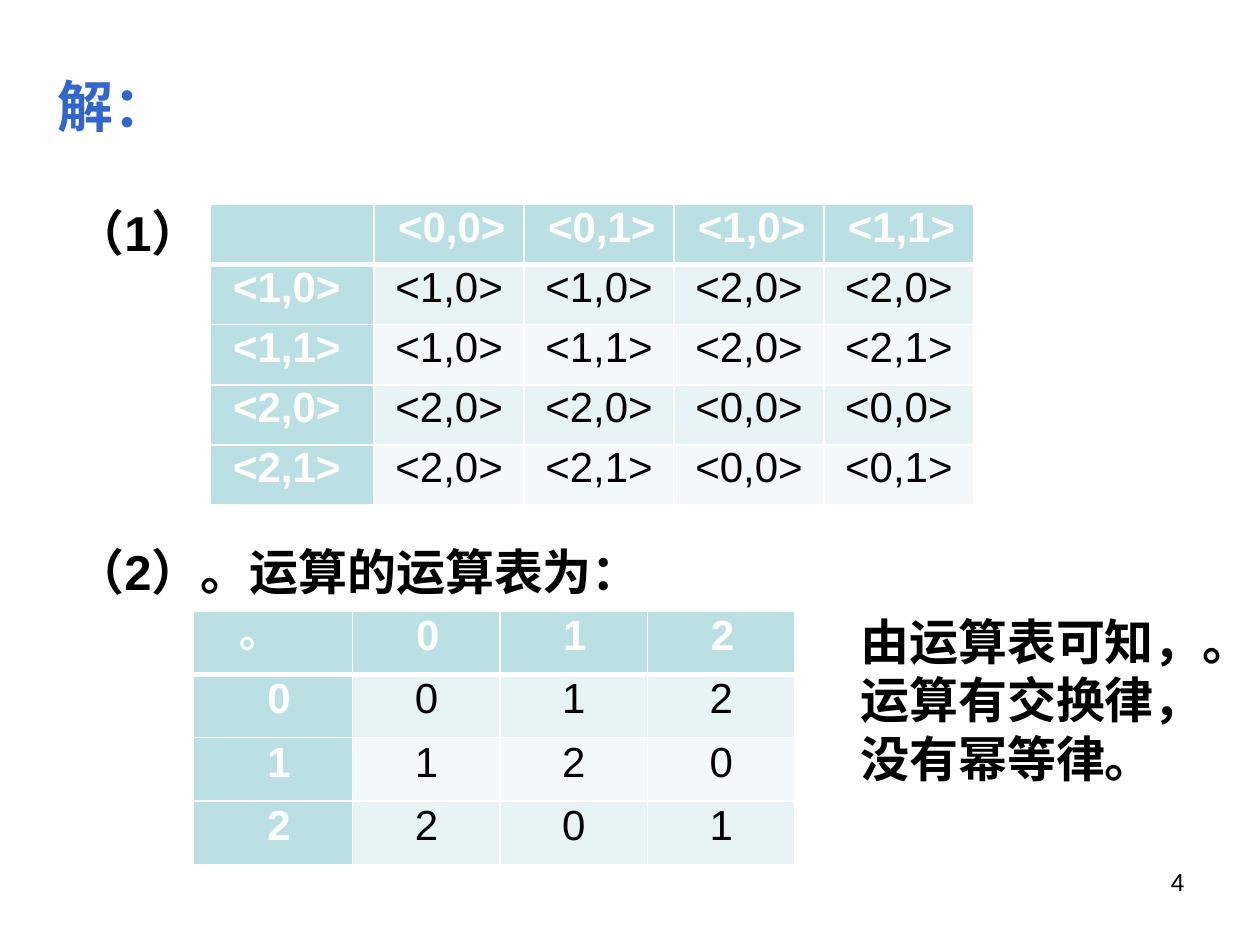
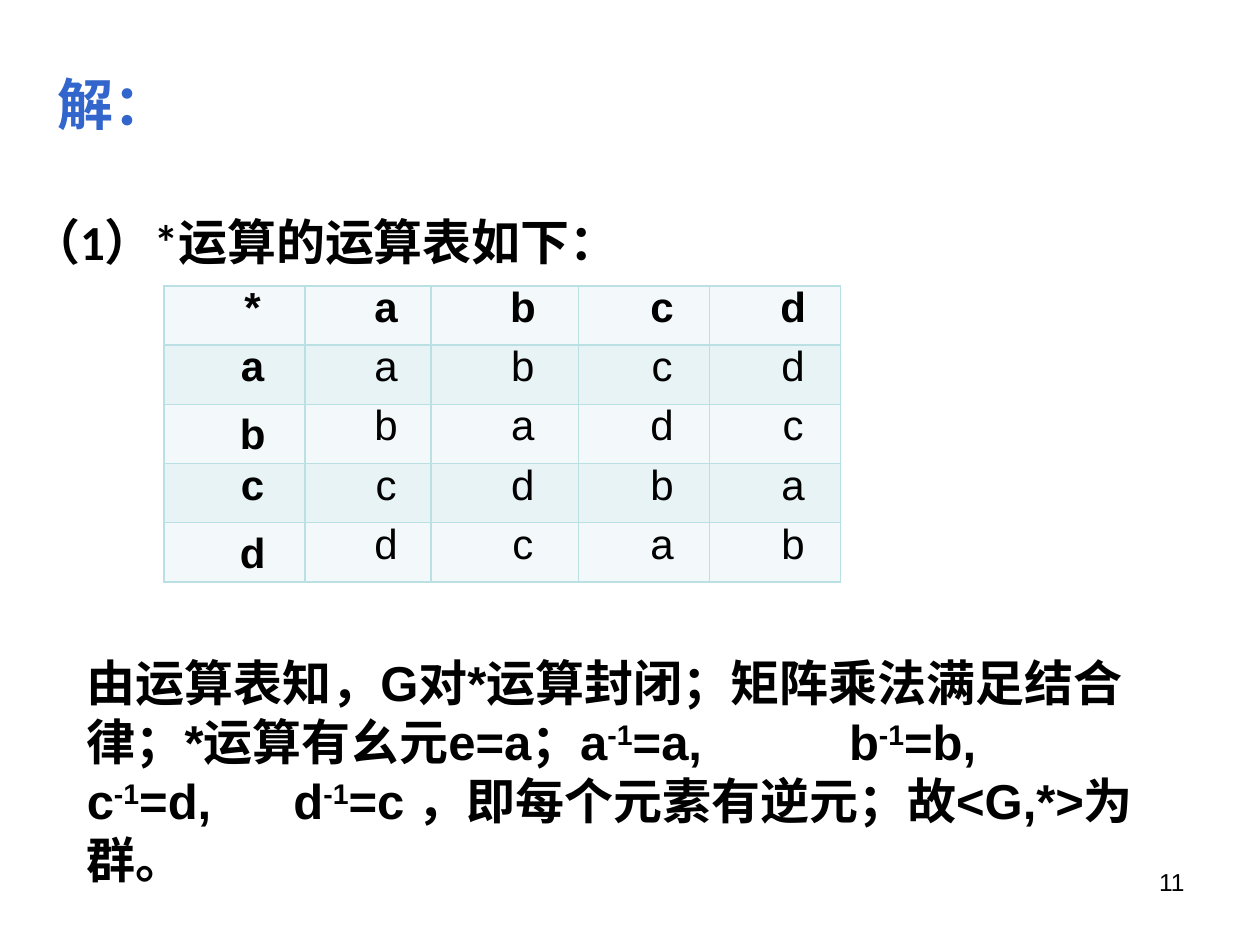
from lxml import etree
from pptx import Presentation
from pptx.dml.color import RGBColor
from pptx.enum.text import MSO_ANCHOR, MSO_AUTO_SIZE, PP_ALIGN
from pptx.oxml.ns import qn
from pptx.util import Inches, Pt

LEFT, CENTER, RIGHT = PP_ALIGN.LEFT, PP_ALIGN.CENTER, PP_ALIGN.RIGHT
TOP, MIDDLE = MSO_ANCHOR.TOP, MSO_ANCHOR.MIDDLE
NO_FIT = MSO_AUTO_SIZE.NONE

BLACK, WHITE, TITLE_BLUE = "000000", "FFFFFF", "3366CC"
TEAL, BAND_DARK, BAND_LIGHT = "BBE0E3", "E7F3F4", "F3F9FA"
TITLE_ONLY = 5


def rgb(value):
    return RGBColor.from_string(value)


def style(p, size, color=BLACK, bold=True, font="Arial", align=LEFT):
    p.alignment = align
    f = p.font
    f.name, f.size, f.bold = font, Pt(size), bold
    f.color.rgb = rgb(color)


def place(sp, box):
    sp.left, sp.top, sp.width, sp.height = (Inches(v) for v in box)


def add_text(slide, box, text="", size=28, **look):
    """Add a wrapping text box and return its paragraph."""
    tf = slide.shapes.add_textbox(*(Inches(v) for v in box)).text_frame
    tf.word_wrap = True
    p = tf.paragraphs[0]
    p.text = text
    style(p, size, **look)
    return p


def add_answer_slide(prs, number, title_top):
    """Add a slide with the answer heading and its page number."""
    slide = prs.slides.add_slide(prs.slide_layouts[TITLE_ONLY])
    title = slide.shapes.title
    place(title, (0.36, title_top, 1.34, 0.64))
    tf = title.text_frame
    tf.text = "解："
    tf.auto_size, tf.vertical_anchor = NO_FIT, TOP
    style(tf.paragraphs[0], 32, TITLE_BLUE, font="Times New Roman")
    add_text(slide, (7.17, 6.83, 2.33, 0.52), str(number), 14, bold=False, align=RIGHT)
    return slide


def set_borders(cell, color, top=1, bottom=1):
    tcPr = cell._tc.get_or_add_tcPr()
    sides = (("L", 1), ("R", 1), ("T", top), ("B", bottom))
    for i, (side, width) in enumerate(sides):
        ln = etree.Element(qn(f"a:ln{side}"), w=str(Pt(width)))
        fill = etree.SubElement(ln, qn("a:solidFill"))
        etree.SubElement(fill, qn("a:srgbClr"), val=color)
        tcPr.insert(i, ln)


def set_cell(cell, text, fill, leading, indent=0, **look):
    cell.fill.solid()
    cell.fill.fore_color.rgb = rgb(fill)
    cell.vertical_anchor = MIDDLE
    cell.margin_left = cell.margin_right = Inches(0.08)
    cell.margin_top = cell.margin_bottom = 0
    p = cell.text_frame.paragraphs[0]
    p.text = text
    p.line_spacing = Pt(leading)
    style(p, 24, **look)
    p._p.get_or_add_pPr().set("indent", str(Inches(indent)))


def add_grid(slide, box, col_widths, n_rows):
    frame = slide.shapes.add_table(n_rows, len(col_widths), *(Inches(v) for v in box))
    table = frame.table
    table.first_row = table.horz_banding = False
    for column, width in zip(table.columns, col_widths):
        column.width = Inches(width)
    for row in table.rows:
        row.height = Inches(box[3] / n_rows)
    return table


def add_headed_table(slide, box, col_widths, rows, head_align, head_indent):
    """Table with white-on-teal headings along the top and the left."""
    table = add_grid(slide, box, col_widths, len(rows))
    for r, row in enumerate(rows):
        for c, text in enumerate(row):
            cell = table.cell(r, c)
            if r == 0 or c == 0:
                indent = head_indent if r == 0 else 0.1
                set_cell(cell, text, TEAL, 19, indent, color=WHITE, align=head_align)
            else:
                band = BAND_DARK if r % 2 else BAND_LIGHT
                set_cell(cell, text, band, 19, bold=False, align=CENTER)
            set_borders(cell, WHITE, top=3 if r == 1 else 1, bottom=3 if r == 0 else 1)
    return table


def add_banded_table(slide, box, col_widths, rows):
    """Table with teal grid lines and bold black headings."""
    table = add_grid(slide, box, col_widths, len(rows))
    for r, row in enumerate(rows):
        for c, text in enumerate(row):
            cell = table.cell(r, c)
            band = BAND_DARK if r % 2 else BAND_LIGHT
            set_cell(cell, text, band, 18, 0.29, bold=r == 0 or c == 0, align=CENTER)
            set_borders(cell, TEAL)
    return table


def add_tab_stops(p, positions):
    pPr = p._p.get_or_add_pPr()
    tabs = etree.Element(qn("a:tabLst"))
    for position in positions:
        etree.SubElement(tabs, qn("a:tab"), pos=str(Inches(position)), algn="l")
    pPr.find(qn("a:defRPr")).addprevious(tabs)


def add_superscript_lines(p, lines):
    """Fill p with lines in which text between carets is raised."""
    for i, line in enumerate(lines):
        if i:
            p.add_line_break()
        for j, part in enumerate(line.split("^")):
            r = p.add_run()
            r.text = part
            if j % 2:
                r._r.get_or_add_rPr().set("baseline", "30000")


def build_pair_tables(prs):
    slide = add_answer_slide(prs, 4, 0.52)
    add_text(slide, (0.5, 1.56, 1.6, 0.57), "（1）")
    add_text(slide, (0.5, 4.25, 8.99, 0.57), "（2）。运算的运算表为：")
    pairs = [
        ["", "<0,0>", "<0,1>", "<1,0>", "<1,1>"],
        ["<1,0>", "<1,0>", "<1,0>", "<2,0>", "<2,0>"],
        ["<1,1>", "<1,0>", "<1,1>", "<2,0>", "<2,1>"],
        ["<2,0>", "<2,0>", "<2,0>", "<0,0>", "<0,0>"],
        ["<2,1>", "<2,0>", "<2,1>", "<0,0>", "<0,1>"],
    ]
    add_headed_table(slide, (1.67, 1.62, 6.05, 2.39), [1.3] + [1.19] * 4, pairs, LEFT, 0.11)

    sums = [["。", "0", "1", "2"]]
    sums += [[str(a)] + [str((a + b) % 3) for b in range(3)] for a in range(3)]
    table = add_headed_table(slide, (1.53, 4.85, 4.77, 2.01), [1.27] + [1.17] * 3,
                             sums, CENTER, 0.02)
    corner = table.cell(0, 0).text_frame.paragraphs[0]
    corner.alignment = LEFT
    corner._p.get_or_add_pPr().set("indent", str(Inches(0.29)))

    add_text(slide, (6.73, 4.8, 3.07, 1.52), "由运算表可知，。运算有交换律，没有幂等律。")


def build_group_table(prs):
    slide = add_answer_slide(prs, 11, 0.5)
    add_text(slide, (0.15, 1.63, 4.94, 0.57), "（1）*运算的运算表如下：", font="Calibri")
    rows = ["*abcd", "aabcd", "bbadc", "ccdba", "ddcab"]
    table = add_banded_table(slide, (1.3, 2.27, 5.37, 2.35),
                             [1.12, 1, 1.17, 1.04, 1.04], rows)
    for lowered_row in (2, 4):
        table.cell(lowered_row, 0).margin_top = Inches(0.14)

    p = add_text(slide, (0.59, 5.13, 8.51, 1.51))
    add_tab_stops(p, (1.64, 6.05))
    add_superscript_lines(p, [
        "由运算表知，G对*运算封闭；矩阵乘法满足结合律；*运算有幺元e=a；a^-1^=a,\tb^-1^=b,",
        "c^-1^=d,\td^-1^=c ，即每个元素有逆元；故<G,*>为群。",
    ])


def main():
    prs = Presentation()
    prs.slide_width, prs.slide_height = Inches(10), Inches(7.5)
    build_pair_tables(prs)
    build_group_table(prs)
    prs.save("out.pptx")


if __name__ == "__main__":
    main()
